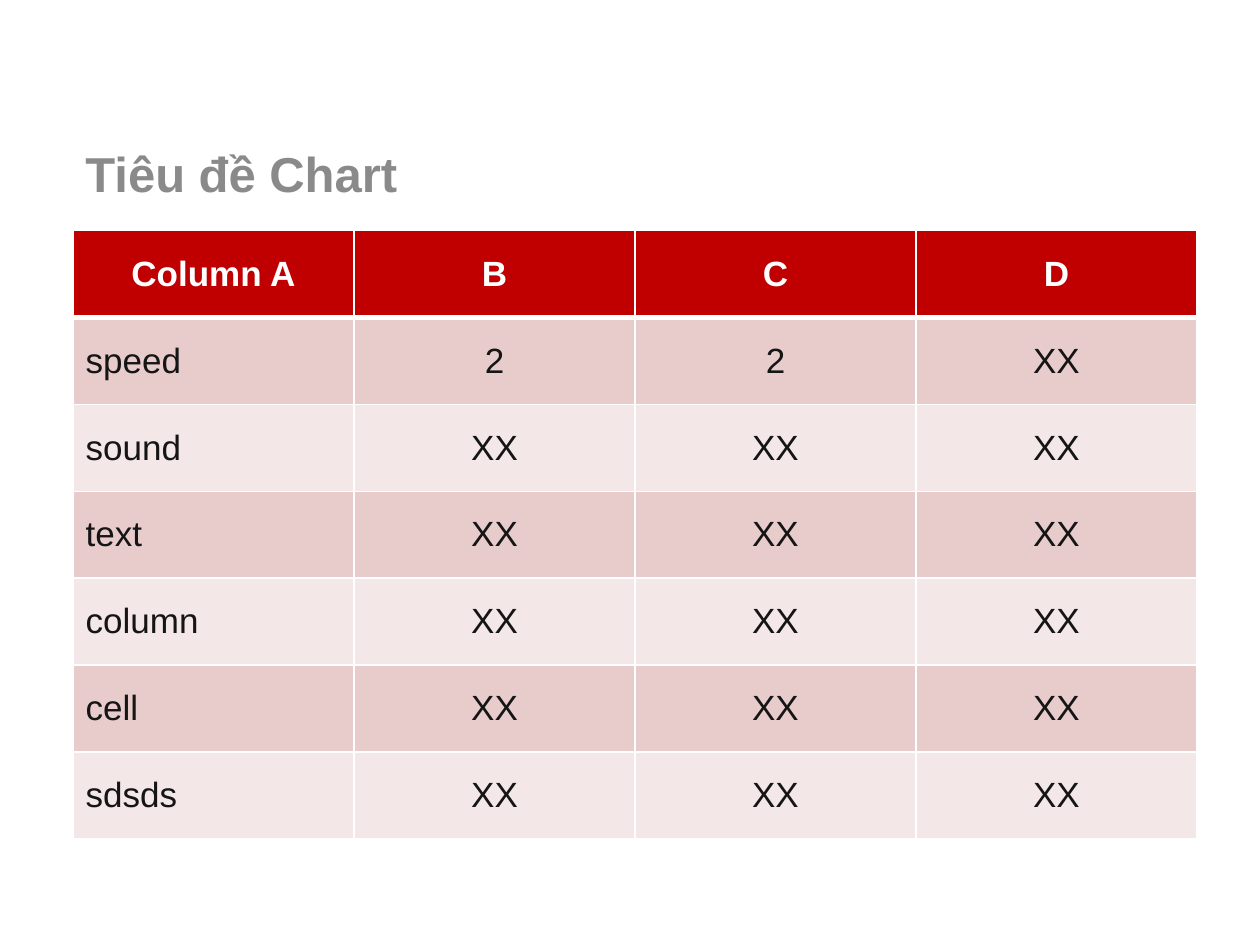
from dataclasses import dataclass

from lxml.etree import SubElement
from pptx import Presentation
from pptx.dml.color import RGBColor
from pptx.enum.text import MSO_ANCHOR, PP_ALIGN
from pptx.oxml.ns import qn
from pptx.util import Inches, Pt

FONT = "Arial"
COLORS = {
    "title": "8A8A8A",
    "header": "C00000",
    "band_dark": "E8CCCC",
    "band_light": "F4E7E7",
    "body": "151515",
    "white": "FFFFFF",
}
LEFT, WIDTH = 0.58, 8.92
TITLE_TOP, TITLE_HEIGHT = 1.08, 0.58
TABLE_TOP, ROW_HEIGHT = 1.83, 0.69
THIN, THICK = 1, 3

HEADINGS = ["Column A", "B", "C", "D"]
ROWS = [["speed", "2", "2", "XX"]] + [
    [label] + ["XX"] * 3 for label in ("sound", "text", "column", "cell", "sdsds")
]


@dataclass
class TextStyle:
    size: int
    color: str
    bold: bool = False


TITLE_STYLE = TextStyle(28, "title", True)
HEADER_STYLE = TextStyle(20, "white", True)
BODY_STYLE = TextStyle(20, "body")


def write_text(text_frame, text: str, style: TextStyle, alignment: PP_ALIGN) -> None:
    text_frame.text = text
    paragraph = text_frame.paragraphs[0]
    paragraph.alignment = alignment
    font = paragraph.runs[0].font
    font.name, font.size, font.bold = FONT, Pt(style.size), style.bold
    font.color.rgb = RGBColor.from_string(COLORS[style.color])


def add_borders(cell, top: int, bottom: int) -> None:
    properties = cell._tc.get_or_add_tcPr()
    for side, width in (("L", THIN), ("R", THIN), ("T", top), ("B", bottom)):
        line = SubElement(properties, qn(f"a:ln{side}"), w=str(Pt(width)))
        fill = SubElement(line, qn("a:solidFill"))
        SubElement(fill, qn("a:srgbClr"), val=COLORS["white"])


def format_cell(cell, text: str, row: int, column: int) -> None:
    is_header = row == 0
    # Borders come before the fill in the cell properties
    add_borders(cell, THICK if row == 1 else THIN, THICK if is_header else THIN)
    band = "header" if is_header else "band_dark" if row % 2 else "band_light"
    cell.fill.solid()
    cell.fill.fore_color.rgb = RGBColor.from_string(COLORS[band])
    cell.vertical_anchor = MSO_ANCHOR.MIDDLE
    alignment = PP_ALIGN.CENTER if is_header or column else PP_ALIGN.LEFT
    write_text(cell.text_frame, text, HEADER_STYLE if is_header else BODY_STYLE, alignment)


presentation = Presentation()
presentation.slide_width, presentation.slide_height = Inches(10), Inches(7.5)
slide = presentation.slides.add_slide(presentation.slide_layouts[6])

# Title
title = slide.shapes.add_textbox(
    Inches(LEFT), Inches(TITLE_TOP), Inches(WIDTH), Inches(TITLE_HEIGHT)
)
title.text_frame.word_wrap = True
title.text_frame.vertical_anchor = MSO_ANCHOR.MIDDLE
write_text(title.text_frame, "Tiêu đề Chart", TITLE_STYLE, PP_ALIGN.LEFT)

# Table
cells = [HEADINGS] + ROWS
table = slide.shapes.add_table(
    len(cells), len(HEADINGS),
    Inches(LEFT), Inches(TABLE_TOP), Inches(WIDTH), Inches(ROW_HEIGHT * len(cells)),
).table
for row, texts in enumerate(cells):
    for column, text in enumerate(texts):
        format_cell(table.cell(row, column), text, row, column)

presentation.save("out.pptx")
